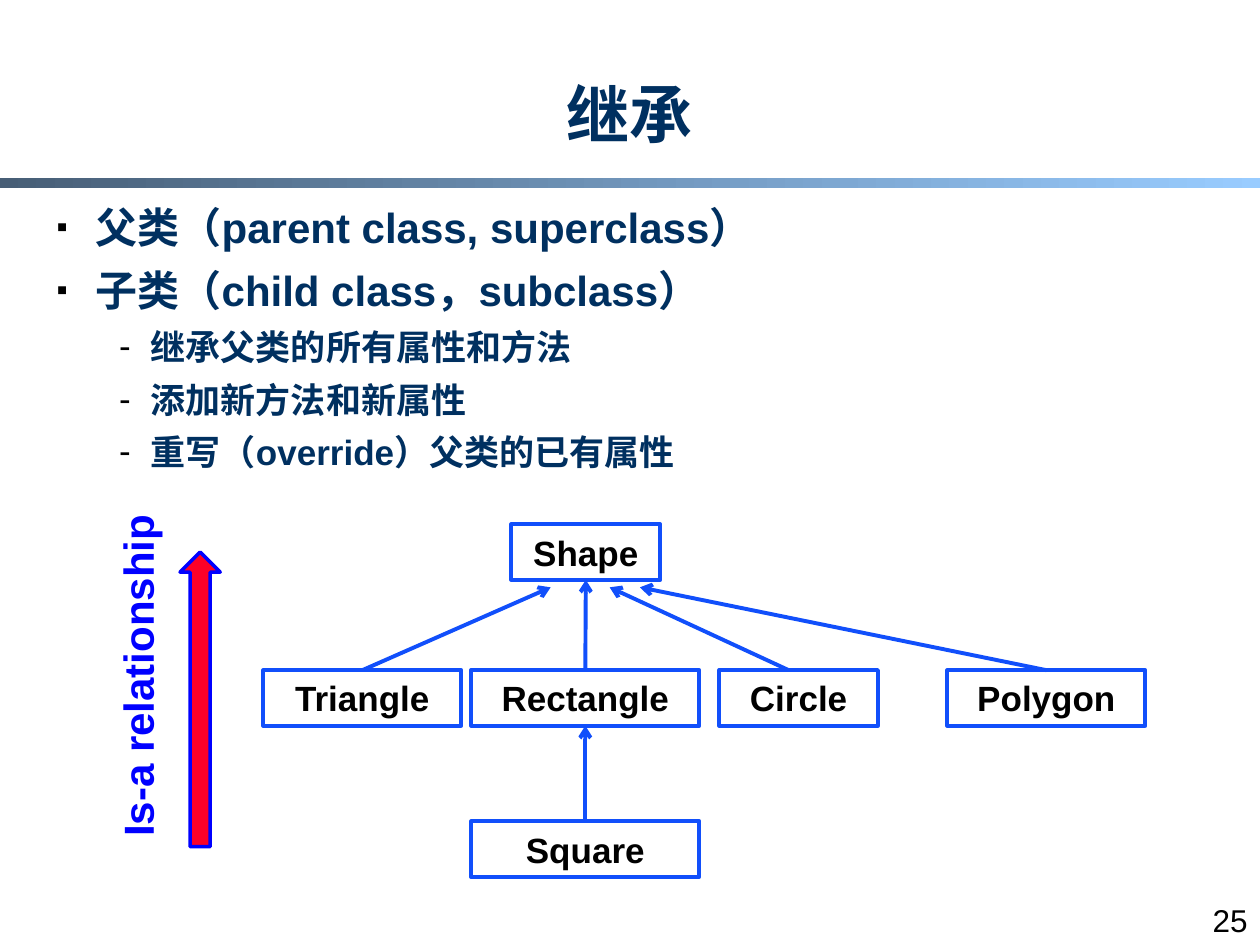
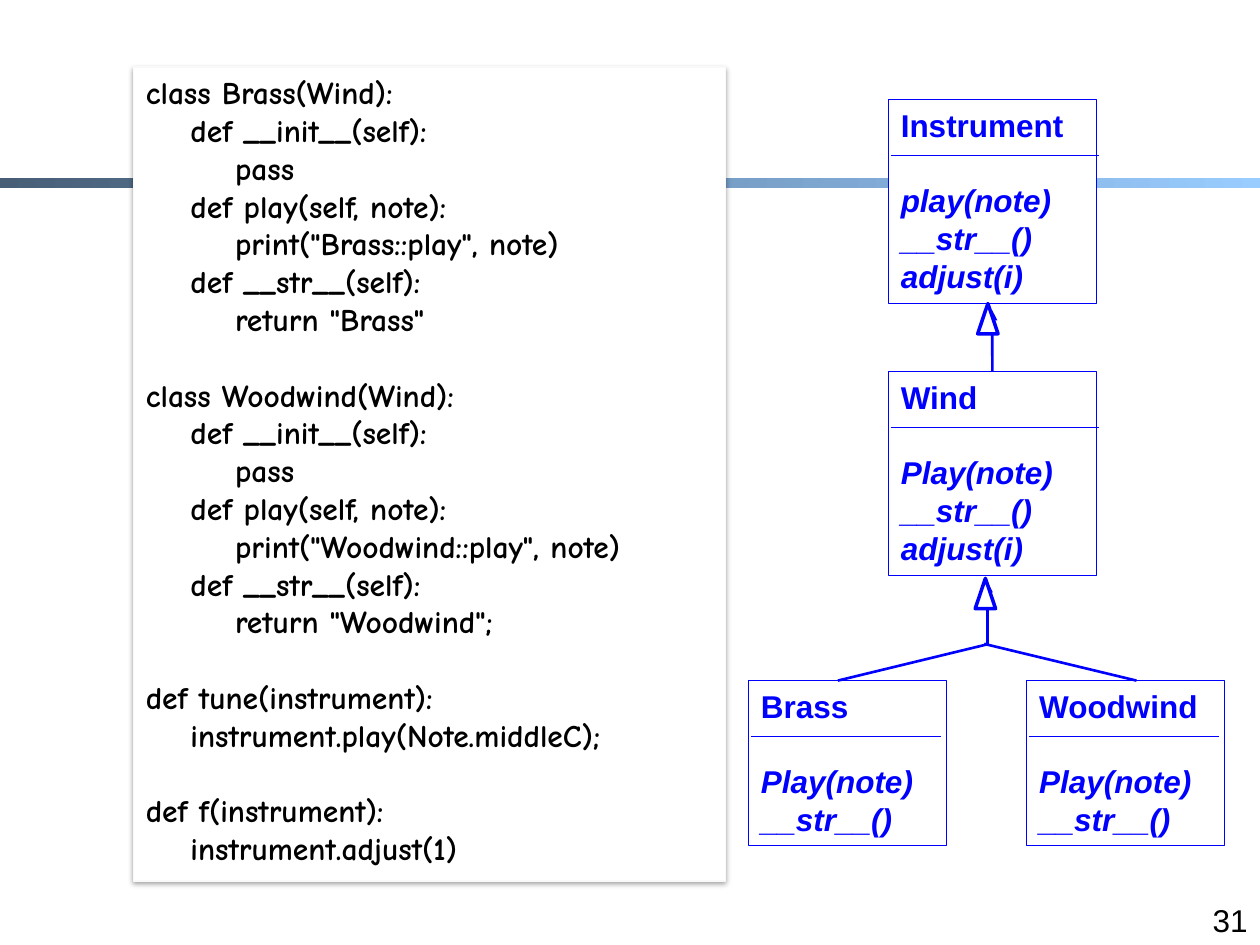
from typing import NamedTuple, Optional

from lxml import etree
from pptx import Presentation
from pptx import util as u
from pptx.dml.color import RGBColor
from pptx.enum import shapes as kinds, text as te
from pptx.oxml import ns

COLORS = {
    "white": "FFFFFF", "black": "000000", "navy": "003060",
    "band_dark": "475E76", "band_light": "99CCFF",
    "tree": "114FFB", "uml": "0000FF", "red": "FC0128", "panel_edge": "F9F9F9",
}
SANS, CODE_FONT = "Arial", "Comic Neue"
LINE_HEIGHT = 1.2
SHAPE = kinds.MSO_SHAPE
ALIGN = te.PP_ALIGN
ANCHOR = te.MSO_ANCHOR


class Box(NamedTuple):
    left: float
    top: float
    width: float
    height: float


class Point(NamedTuple):
    x: float
    y: float


class Line(NamedTuple):
    text: str
    size: float = 18
    color: str = "black"
    bold: bool = True
    italic: bool = False
    font: str = SANS
    before: float = 0
    indent: float = 0
    hanging: float = 0
    bullet: str = ""
    bullet_size: int = 100


class ClassBox(NamedTuple):
    name: str
    box: Box
    methods: tuple
    divider: float


def rgb(name: str) -> RGBColor:
    return RGBColor.from_string(COLORS[name])


def lengths(box: Box) -> list:
    return [u.Cm(value) for value in box]


def sub(parent, tag: str, **attributes):
    return etree.SubElement(parent, ns.qn(tag), attributes)


# Text

def add_bullet(p_pr, line: Line) -> None:
    sub(sub(p_pr, "a:buClr"), "a:srgbClr", val=COLORS["black"])
    sub(p_pr, "a:buSzPct", val=str(line.bullet_size * 1000))
    sub(p_pr, "a:buFont", typeface=SANS)
    sub(p_pr, "a:buChar", char=line.bullet)


def write(shape, lines: list, align=ALIGN.LEFT, anchor=ANCHOR.TOP,
          spacing: float = LINE_HEIGHT) -> None:
    frame = shape.text_frame
    frame.word_wrap = True
    frame.vertical_anchor = anchor
    frame.text = "\n".join(line.text for line in lines)
    for paragraph, line in zip(frame.paragraphs, lines):
        paragraph.alignment = align
        paragraph.line_spacing = u.Pt(line.size * spacing)
        paragraph.space_before = u.Pt(line.before)
        p_pr = paragraph._p.get_or_add_pPr()
        p_pr.set("marL", str(u.Cm(line.indent)))
        p_pr.set("indent", str(u.Cm(-line.hanging)))
        if line.bullet:
            add_bullet(p_pr, line)
        for run in paragraph.runs:
            run.font.name = line.font
            run.font.size = u.Pt(line.size)
            run.font.bold = line.bold
            run.font.italic = line.italic
            run.font.color.rgb = rgb(line.color)


def text_box(slide, box: Box, lines: list, **options):
    label = slide.shapes.add_textbox(*lengths(box))
    write(label, lines, **options)
    return label


# Shapes and lines

def add_block(slide, kind, box: Box, fill: Optional[str] = None,
              edge: Optional[str] = None, weight: float = 0.75):
    block = slide.shapes.add_shape(kind, *lengths(box))
    block.shadow.inherit = False
    if fill:
        block.fill.solid()
        block.fill.fore_color.rgb = rgb(fill)
    else:
        block.fill.background()
    if edge:
        block.line.color.rgb = rgb(edge)
        block.line.width = u.Pt(weight)
    else:
        block.line.fill.background()
    return block


def add_line(slide, start: Point, end: Point, color: str, weight: float, head: str = ""):
    line = slide.shapes.add_connector(kinds.MSO_CONNECTOR.STRAIGHT, *lengths(start), *lengths(end))
    line.line.color.rgb = rgb(color)
    line.line.width = u.Pt(weight)
    if head:
        sub(line.line._get_or_add_ln(), "a:tailEnd", type=head)
    sub(line._element.spPr, "a:effectLst")
    return line


# Parts that both slides share

def new_slide(deck, number: int):
    slide = deck.slides.add_slide(deck.slide_layouts[6])
    page = text_box(slide, Box(24.13, 18.03, 1.27, 1.02),
                    [Line(str(number), bold=False)], align=ALIGN.RIGHT)
    page.text_frame.margin_left = 0
    band = add_block(slide, SHAPE.RECTANGLE, Box(0, 3.58, 25.4, 0.22))
    band.fill.gradient()
    band.fill.gradient_angle = 0
    for stop, name in zip(band.fill.gradient_stops, ("band_dark", "band_light")):
        stop.color.rgb = rgb(name)
    return slide


# Slide 25: inheritance tree

TOPICS = ["父类（parent class, superclass）", "子类（child class，subclass）"]
DETAILS = ["继承父类的所有属性和方法", "添加新方法和新属性", "重写（override）父类的已有属性"]
NODE_HEIGHT = 1.12
ROW_TOPS = (10.57, 13.51, 16.56)
ARROW_END = 11.84
# name: (row, left, width)
NODES = {
    "Shape": (0, 10.31, 3.0),
    "Triangle": (1, 5.31, 3.99),
    "Rectangle": (1, 9.5, 4.6),
    "Circle": (1, 14.5, 3.2),
    "Polygon": (1, 19.1, 3.99),
    "Square": (2, 9.5, 4.6),
}


def inheritance_slide(deck) -> None:
    slide = new_slide(deck, 25)
    text_box(slide, Box(2.74, 0.84, 19.89, 2.34), [Line("继承", 36, "navy")],
             align=ALIGN.CENTER, anchor=ANCHOR.BOTTOM, spacing=0.9 * LINE_HEIGHT)
    topics = [Line(topic, 24, "navy", before=7.2, indent=0.79, hanging=0.79,
                   bullet="▪", bullet_size=75) for topic in TOPICS]
    details = [Line(detail, 20, "navy", before=6, indent=1.9, hanging=0.64, bullet="-")
               for detail in DETAILS]
    text_box(slide, Box(0.89, 3.94, 23.39, 14.6), topics + details)

    nodes = {}
    for name, (row, left, width) in NODES.items():
        kind = SHAPE.RECTANGLE if row else SHAPE.FLOWCHART_PROCESS
        nodes[name] = add_block(slide, kind, Box(left, ROW_TOPS[row], width, NODE_HEIGHT),
                                edge="tree", weight=2.25)
        write(nodes[name], [Line(name, 20)], align=ALIGN.CENTER, anchor=ANCHOR.MIDDLE)

    # Slanted arrows stop just below the parent
    for child, end_x in (("Triangle", 11.1), ("Circle", 12.29), ("Polygon", 12.9)):
        arrow = add_line(slide, Point(15.9, ROW_TOPS[1]), Point(end_x, ARROW_END),
                         "tree", 2.25, "arrow")
        if child != "Circle":
            arrow.begin_connect(nodes[child], 0)
    # Upright arrows join both boxes
    for child, parent in (("Rectangle", "Shape"), ("Square", "Rectangle")):
        arrow = add_line(slide, Point(0, 0), Point(0, 0), "tree", 2.25, "arrow")
        arrow.begin_connect(nodes[child], 0)
        arrow.end_connect(nodes[parent], 2)

    add_block(slide, SHAPE.UP_ARROW, Box(3.63, 11.13, 0.81, 5.94), "red", "uml", 2)
    relation = text_box(slide, Box(2.13, 9.73, 1.55, 7.39),
                        [Line("Is-a relationship", 24, "uml")])
    relation.text_frame._txBody.bodyPr.set("vert", "vert270")


# Slide 31: code and class diagram

INDENT = 0.9
# Each block is a list of (depth, text)
CODE_BLOCKS = [
    [(0, "class Brass(Wind):"), (1, "def __init__(self):"), (2, "pass"),
     (1, "def play(self, note):"), (2, 'print("Brass::play", note)'),
     (1, "def __str__(self):"), (2, 'return "Brass"')],
    [(0, "class Woodwind(Wind):"), (1, "def __init__(self):"), (2, "pass"),
     (1, "def play(self, note):"), (2, 'print("Woodwind::play", note)'),
     (1, "def __str__(self):"), (2, 'return "Woodwind";')],
    [(0, "def tune(instrument):"), (1, "instrument.play(Note.middleC);")],
    [(0, "def f(instrument):"), (1, "instrument.adjust(1)")],
]
BLOCK_GAP = 18 * LINE_HEIGHT
CLASSES = [
    ClassBox("Instrument", Box(17.91, 2.01, 4.19, 4.11),
             ("play(note)", "__str__()", "adjust(i)"), 4.19),
    ClassBox("Wind", Box(17.91, 7.49, 4.19, 4.11),
             ("Play(note)", "__str__()", "adjust(i)"), 4.19),
    ClassBox("Brass", Box(15.09, 13.72, 3.99, 3.33), ("Play(note)", "__str__()"), 3.83),
    ClassBox("Woodwind", Box(20.7, 13.72, 3.99, 3.33), ("Play(note)", "__str__()"), 3.83),
]


def add_code_panel(slide) -> None:
    panel = add_block(slide, SHAPE.RECTANGLE, Box(2.69, 1.35, 11.94, 16.41),
                      "white", "panel_edge")
    effects = panel._element.spPr.find(ns.qn("a:effectLst"))
    shadow = sub(effects, "a:outerShdw", blurRad=str(u.Pt(3.1)), dist=str(u.Pt(1.6)),
                 dir="5400000", rotWithShape="0")
    sub(sub(shadow, "a:srgbClr", val=COLORS["black"]), "a:alpha", val="38000")
    lines = [Line(code, font=CODE_FONT, indent=depth * INDENT,
                  before=BLOCK_GAP if block_no and not row else 0)
             for block_no, block in enumerate(CODE_BLOCKS)
             for row, (depth, code) in enumerate(block)]
    write(panel, lines)


def add_class(slide, item: ClassBox):
    block = add_block(slide, SHAPE.RECTANGLE, item.box, "white", "uml")
    methods = [Line(method, color="uml", italic=True, before=0 if row else BLOCK_GAP)
               for row, method in enumerate(item.methods)]
    write(block, [Line(item.name, color="uml")] + methods)
    left, y = item.box.left + 0.05, item.box.top + 1.13
    add_line(slide, Point(left, y), Point(left + item.divider, y), "uml", 0.75)
    return block


def instrument_slide(deck) -> None:
    slide = new_slide(deck, 31)
    add_line(slide, Point(19.91, 13), Point(19.91, 11.73), "uml", 1.5, "triangle")
    add_code_panel(slide)
    blocks = {item.name: add_class(slide, item) for item in CLASSES}

    # Inheritance lines with hollow heads
    to_parent = add_line(slide, Point(20, 7.49), Point(20, 6.25), "uml", 1.5, "triangle")
    to_parent.begin_connect(blocks["Wind"], 0)
    for start_x, end_x in ((16.89, 19.94), (22.91, 19.84)):
        add_line(slide, Point(start_x, 13.72), Point(end_x, 12.98), "uml", 1.5)
    for left, top in ((19.71, 6.12), (19.66, 11.66)):
        add_block(slide, SHAPE.ISOSCELES_TRIANGLE, Box(left, top, 0.41, 0.61),
                  "white", "uml", 2)


def main() -> None:
    deck = Presentation()
    deck.slide_width, deck.slide_height = u.Cm(25.4), u.Cm(19.05)
    inheritance_slide(deck)
    instrument_slide(deck)
    deck.save("out.pptx")


if __name__ == "__main__":
    main()
